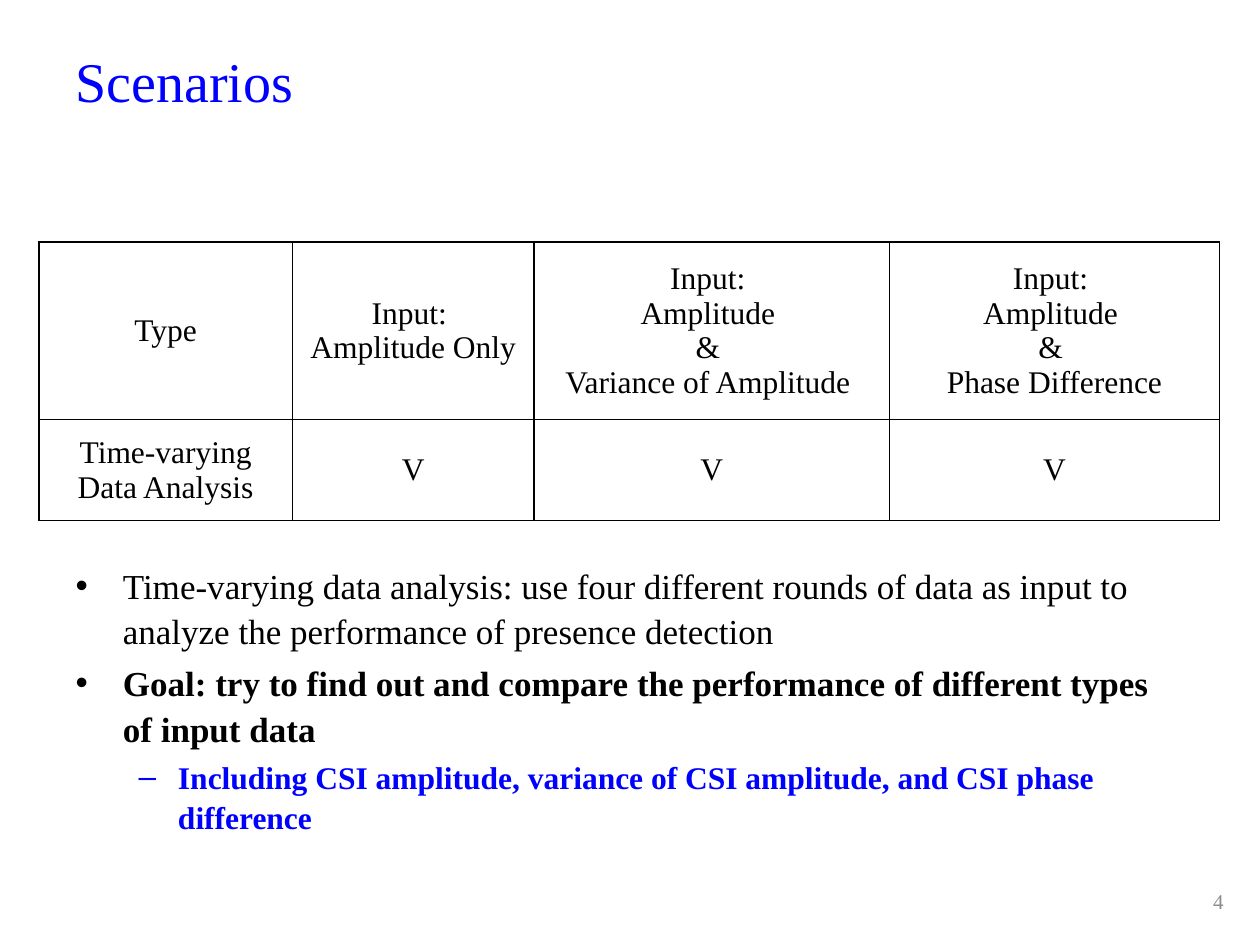
from lxml import etree
from pptx import Presentation
from pptx.dml.color import RGBColor
from pptx.enum import text
from pptx.oxml.ns import qn
from pptx.util import Inches, Pt

BLUE = RGBColor(0x00, 0x00, 0xFF)
BLACK = RGBColor(0x00, 0x00, 0x00)
GRAY = RGBColor(0x8C, 0x8C, 0x8C)
FONT = "Times New Roman"

COLUMN_WIDTHS = [2.01, 1.92, 2.82, 2.62]
ROW_HEIGHTS = [1.41, 0.75]
TABLE_ROWS = [
    ["Type",
     "Input: \nAmplitude Only",
     "Input: \nAmplitude \n& \nVariance of Amplitude ",
     "Input: \nAmplitude \n& \nPhase Difference"],
    ["Time-varying Data Analysis", "V", "V", "V"],
]

# Text, paragraph format, font format
BULLETS = [
    ("Time-varying data analysis: use four different rounds of data as input "
     "to analyze the performance of presence detection",
     {"level": 0, "line_spacing": 1.08}, {"size": Pt(20)}),
    ("Goal: try to find out and compare the performance of different types "
     "of input data",
     {"level": 0, "line_spacing": 1.08}, {"size": Pt(20), "bold": True}),
    ("Including CSI amplitude, variance of CSI amplitude, and CSI phase "
     "difference",
     {"level": 1, "line_spacing": 1.06},
     {"size": Pt(18), "bold": True, "color": BLUE}),
]


def apply_format(target, values):
    for name, value in values.items():
        setattr(target, name, value)


def write_paragraph(paragraph, content, paragraph_format, font_format):
    apply_format(paragraph, paragraph_format)
    run = paragraph.add_run()
    run.text = content
    values = {"name": FONT, **font_format}
    run.font.color.rgb = values.pop("color", BLACK)
    apply_format(run.font, values)


def place(shape, left, top, width, height):
    apply_format(shape, {"left": Inches(left), "top": Inches(top),
                         "width": Inches(width), "height": Inches(height)})


def set_borders(cell):
    properties = cell._tc.get_or_add_tcPr()
    for position, side in enumerate(("lnL", "lnR", "lnT", "lnB")):
        line = etree.Element(qn(f"a:{side}"), w=str(Pt(1)))
        fill = etree.SubElement(line, qn("a:solidFill"))
        etree.SubElement(fill, qn("a:srgbClr"), val=str(BLACK))
        properties.insert(position, line)


def add_title(slide):
    title = slide.shapes.title
    place(title, 0.5, 0.29, 9, 0.69)
    apply_format(title.text_frame, {
        "vertical_anchor": text.MSO_ANCHOR.MIDDLE,
        "auto_size": text.MSO_AUTO_SIZE.NONE})
    write_paragraph(title.text_frame.paragraphs[0], "Scenarios",
                    {"alignment": text.PP_ALIGN.LEFT},
                    {"size": Pt(32), "color": BLUE})


def add_bullets(slide):
    body = slide.placeholders[1]
    place(body, 0.5, 4.4, 9, 2.5)
    frame = body.text_frame
    frame.auto_size = text.MSO_AUTO_SIZE.NONE
    for index, bullet in enumerate(BULLETS):
        paragraph = frame.add_paragraph() if index else frame.paragraphs[0]
        write_paragraph(paragraph, *bullet)


def fill_cell(cell, content):
    margin = Inches(0.1)
    apply_format(cell, {
        "vertical_anchor": text.MSO_ANCHOR.MIDDLE,
        "margin_left": margin, "margin_right": margin,
        "margin_top": margin, "margin_bottom": margin})
    cell.fill.background()
    set_borders(cell)
    frame = cell.text_frame
    for index, line in enumerate(content.split("\n")):
        paragraph = frame.add_paragraph() if index else frame.paragraphs[0]
        write_paragraph(paragraph, line,
                        {"alignment": text.PP_ALIGN.CENTER},
                        {"size": Pt(18), "bold": False})


def add_scenario_table(slide):
    table = slide.shapes.add_table(
        len(ROW_HEIGHTS), len(COLUMN_WIDTHS), Inches(0.31), Inches(1.92),
        Inches(sum(COLUMN_WIDTHS)), Inches(sum(ROW_HEIGHTS))).table
    apply_format(table, {"first_row": False, "horz_banding": False})
    for column, width in zip(table.columns, COLUMN_WIDTHS):
        column.width = Inches(width)
    for row, height, contents in zip(table.rows, ROW_HEIGHTS, TABLE_ROWS):
        row.height = Inches(height)
        for cell, content in zip(row.cells, contents):
            fill_cell(cell, content)


def add_page_number(slide):
    box = slide.shapes.add_textbox(Inches(7.17), Inches(6.95),
                                   Inches(2.64), Inches(0.4))
    apply_format(box.text_frame, {
        "word_wrap": True, "vertical_anchor": text.MSO_ANCHOR.MIDDLE})
    write_paragraph(box.text_frame.paragraphs[0], "4",
                    {"alignment": text.PP_ALIGN.RIGHT},
                    {"size": Pt(12), "color": GRAY})


def main():
    presentation = Presentation()
    apply_format(presentation, {"slide_width": Inches(10),
                                "slide_height": Inches(7.5)})
    # Title and Content layout
    slide = presentation.slides.add_slide(presentation.slide_layouts[1])
    add_title(slide)
    add_bullets(slide)
    add_page_number(slide)
    add_scenario_table(slide)
    presentation.save("out.pptx")


if __name__ == "__main__":
    main()
